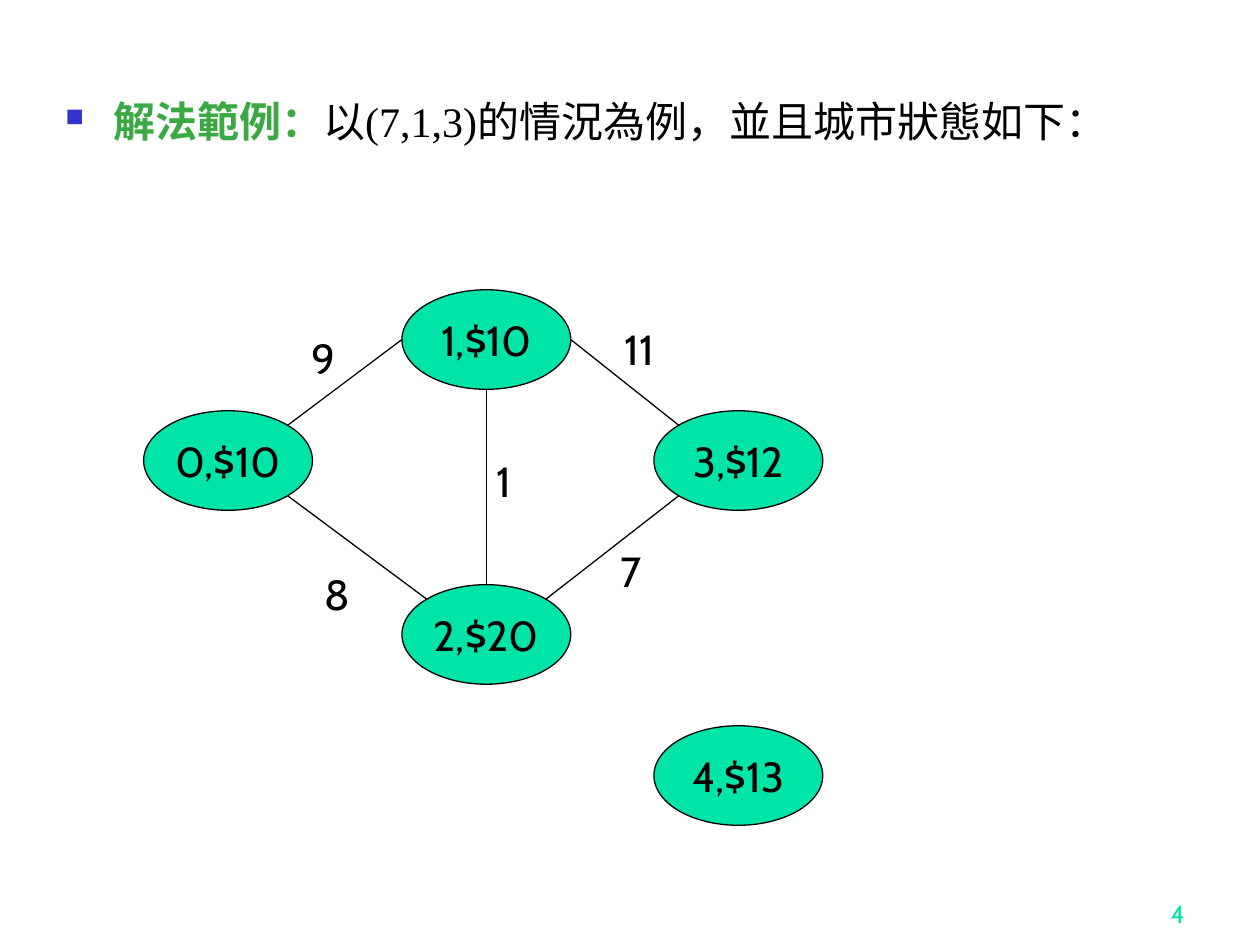
"""Build a slide with a weighted city graph for the (7,1,3) example."""
from lxml.etree import SubElement
from pptx import Presentation
from pptx.dml.color import RGBColor
from pptx.enum.shapes import MSO_CONNECTOR as Link, MSO_SHAPE as Shape
from pptx.enum.text import MSO_ANCHOR as Anchor, MSO_AUTO_SIZE as AutoSize, PP_ALIGN as Align
from pptx.oxml.ns import qn
from pptx.util import Inches, Pt

BLACK = RGBColor(0x00, 0x00, 0x00)
MINT = RGBColor(0x00, 0xE4, 0xA8)
GREEN = RGBColor(0x3B, 0xA9, 0x43)
BULLET_BLUE = RGBColor(0x33, 0x33, 0xCC)

deck = Presentation()
deck.slide_width, deck.slide_height = Inches(10), Inches(7.5)
COL, ROW = deck.slide_width / 100, deck.slide_height / 75
slide = deck.slides.add_slide(deck.slide_layouts[6])
shapes = slide.shapes


def grid(*lengths):
    return [round(length * unit) for length, unit in zip(lengths, (COL, ROW, COL, ROW))]


def write(holder, text, size=24, color=BLACK, align=Align.LEFT):
    paragraph = holder.text_frame.paragraphs[0]
    paragraph.text = text
    paragraph.alignment = align
    paragraph.font.name = "Cabin"
    paragraph.font.size = Pt(size)
    paragraph.font.color.rgb = color


page_number = shapes.add_textbox(*grid(74.2, 69.2, 20.8, 5))
page_number.text_frame.word_wrap = True
page_number.text_frame.vertical_anchor = Anchor.BOTTOM
write(page_number, "4", 14, MINT, Align.RIGHT)

example = shapes.add_textbox(*grid(4.2, 7.5, 88.3, 61.5))
example.text_frame.word_wrap = True
intro = example.text_frame.paragraphs[0]
intro.line_spacing = 0.9
indent = round(3.8 * COL)
properties = intro._p.get_or_add_pPr()
properties.set("marL", str(indent))
properties.set("indent", str(-indent))
bullet_color = SubElement(properties, qn("a:buClr"))
SubElement(bullet_color, qn("a:srgbClr"), val=str(BULLET_BLUE))
SubElement(properties, qn("a:buSzPct"), val="60000")
SubElement(properties, qn("a:buChar"), char="■")
intro.font.name = "Times New Roman"
intro.font.size = Pt(24)
for words, color, bold in (
    ("解法範例：", GREEN, True),
    ("以(7,1,3)的情況為例，並且城市狀態如下：", BLACK, False),
):
    run = intro.add_run()
    run.text = words
    run.font.color.rgb = color
    run.font.bold = bold

CITY_WIDTH, CITY_HEIGHT = 13.4, 7.9
cities = {
    "0,$10": (11.4, 32.6),
    "3,$12": (51.9, 32.6),
    "2,$20": (31.9, 46.4),
    "1,$10": (31.9, 23),
    "4,$13": (51.9, 57.6),
}
for label, (left, top) in cities.items():
    city = shapes.add_shape(Shape.OVAL, *grid(left, top, CITY_WIDTH, CITY_HEIGHT))
    city.shadow.inherit = False
    city.fill.solid()
    city.fill.fore_color.rgb = MINT
    city.line.color.rgb = BLACK
    city.line.width = Pt(0.75)
    city.text_frame.word_wrap = False
    city.text_frame.vertical_anchor = Anchor.MIDDLE
    write(city, label, align=Align.CENTER)

NEAR, FAR = 0.15, 0.85
roads = (
    ("0,$10", (FAR, NEAR), "1,$10", (0, 0.5)),
    ("1,$10", (0.5, 1), "2,$20", (0.5, 0)),
    ("0,$10", (FAR, FAR), "2,$20", (NEAR, NEAR)),
    ("1,$10", (1, 0.5), "3,$12", (NEAR, NEAR)),
    ("2,$20", (FAR, NEAR), "3,$12", (NEAR, FAR)),
)
for start, start_site, end, end_site in roads:
    ends = []
    for label, (across, down) in ((start, start_site), (end, end_site)):
        left, top = cities[label]
        ends += grid(left + across * CITY_WIDTH, top + down * CITY_HEIGHT)
    road = shapes.add_connector(Link.STRAIGHT, *ends)
    road.line.color.rgb = BLACK
    road.line.width = Pt(0.75)
    SubElement(road._element.spPr, qn("a:effectLst"))

for cost, left, top, width in (
    ("9", 23.7, 25.9, 3.9),
    ("8", 24.8, 44.6, 3.9),
    ("1", 38.4, 35.7, 3.9),
    ("7", 48.3, 42.8, 3.9),
    ("11", 48.6, 25.2, 5.8),
):
    road_cost = shapes.add_textbox(*grid(left, top, width, 5))
    road_cost.text_frame.word_wrap = False
    road_cost.text_frame.auto_size = AutoSize.SHAPE_TO_FIT_TEXT
    write(road_cost, cost)

deck.save("out.pptx")
